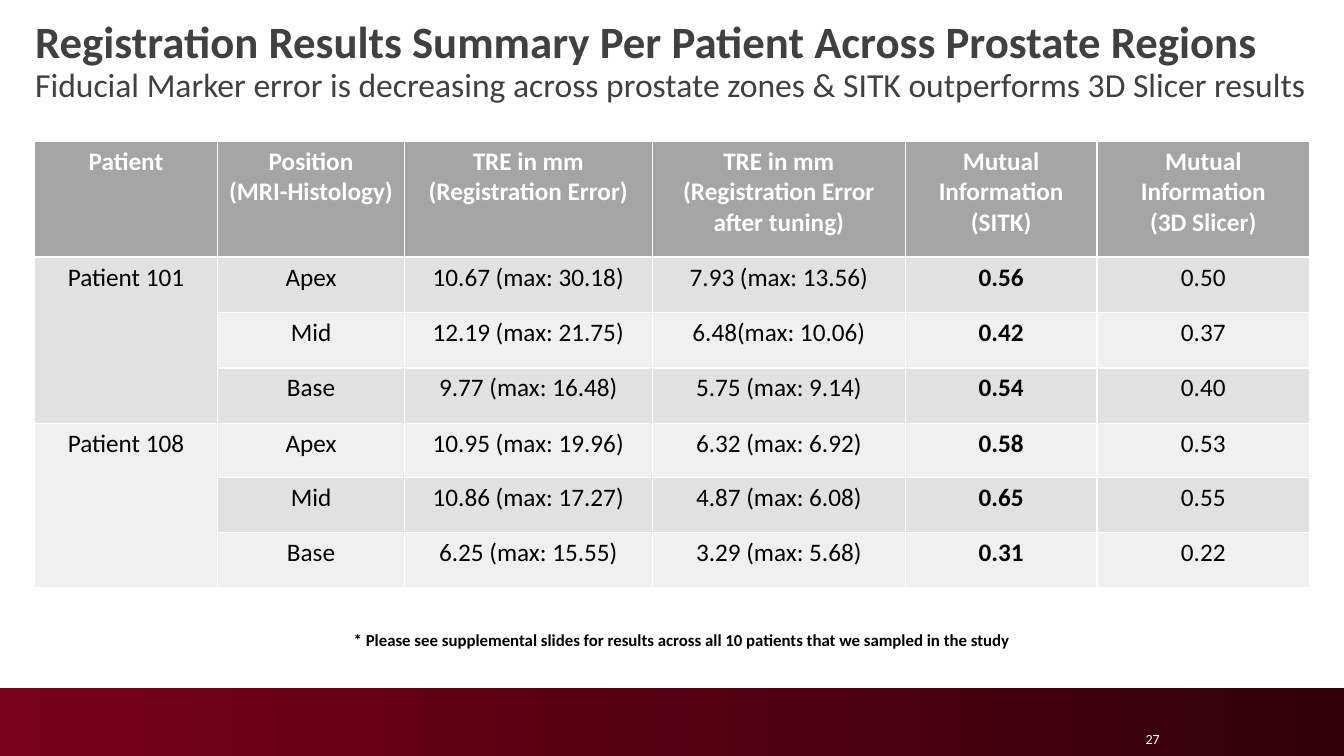
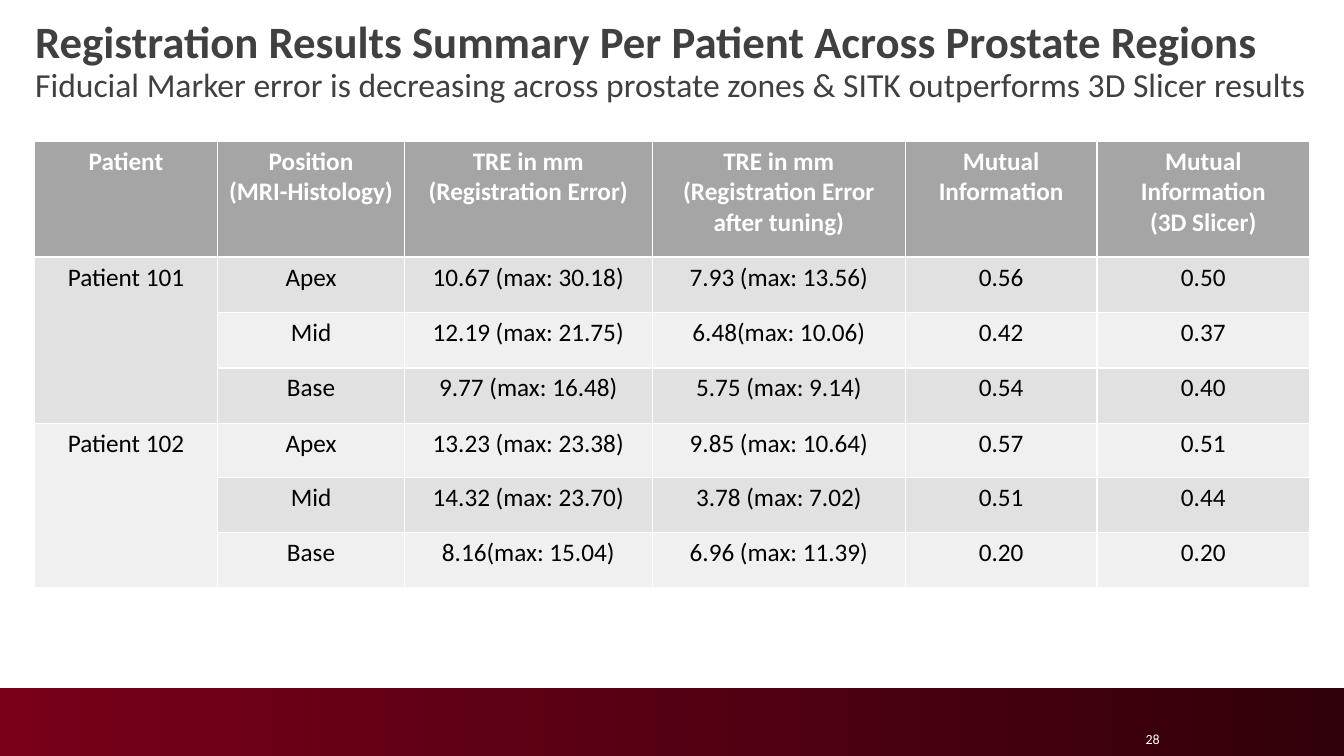
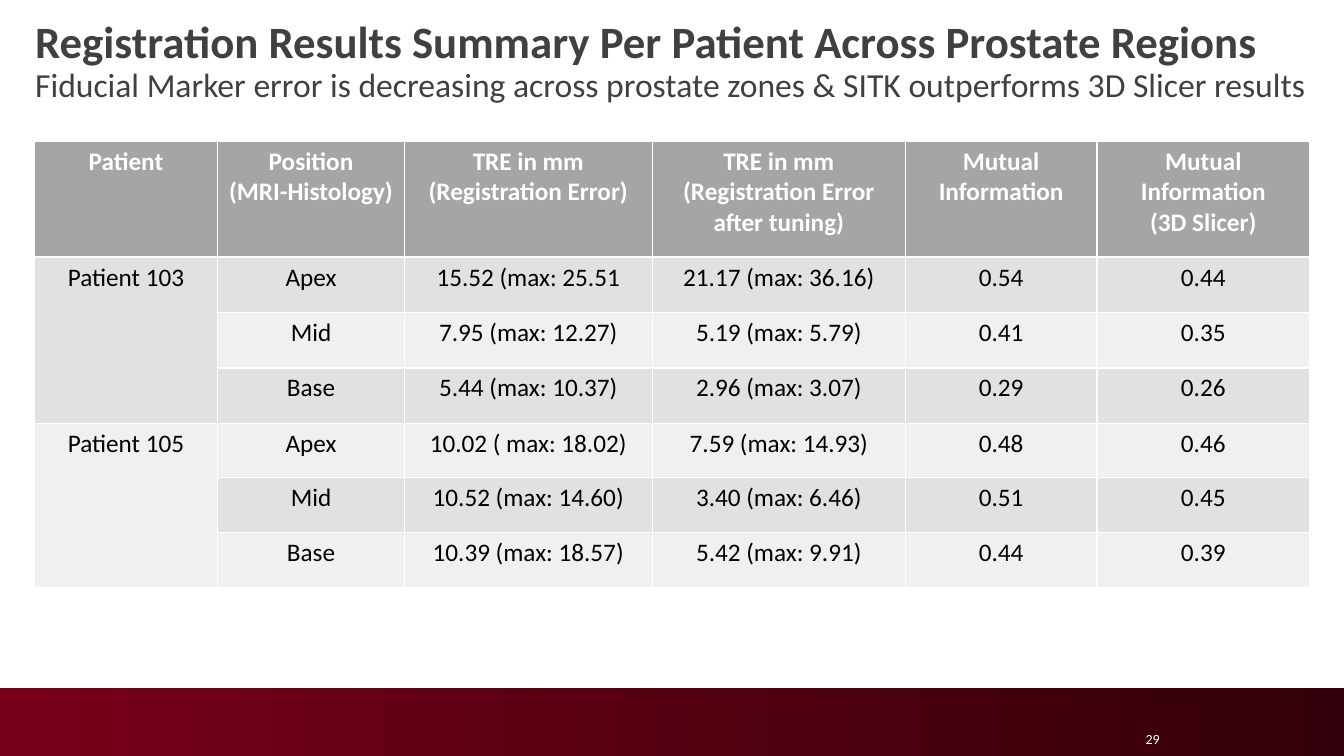
"""Build three slides of registration results per patient."""
from dataclasses import dataclass

from pptx import Presentation
from pptx.dml.color import RGBColor as RGB
from pptx.enum.shapes import MSO_SHAPE as SHAPE
from pptx.enum.text import MSO_ANCHOR as ANCHOR, PP_ALIGN as ALIGN
from pptx.util import Inches, Pt


@dataclass(frozen=True)
class Theme:
    font: str = "Calibri"
    white: str = "FFFFFF"
    black: str = "000000"
    title: str = "404040"
    head: str = "A5A5A5"
    rows: tuple = ("E1E1E1", "F0F0F0")
    band: tuple = ("780019", "32000A")
    title_pt: int = 32
    sub_pt: int = 24
    table_pt: int = 18
    note_pt: int = 12
    page_pt: int = 10


THEME = Theme()
TITLE = "Registration Results Summary Per Patient Across Prostate Regions"
SUB = ("Fiducial Marker error is decreasing across prostate zones "
       "& SITK outperforms 3D Slicer results")
NOTE = ("* Please see supplemental slides for results across all 10 patients "
        "that we sampled in the study")
ZONES = ("Apex", "Mid", "Base")
MUTUAL = "Mutual Information"
SITK = MUTUAL + "\n(SITK)"
COLS = (1.82, 1.85, 2.46, 2.51, 1.9, 2.11)
ROWS = (1.15, 0.55, 0.55, 0.55, 0.54, 0.54, 0.55)
MI_COL = 4

P101 = ("Patient 101", [
    ("10.67 (max: 30.18)", "7.93 (max: 13.56)", "0.56", "0.50"),
    ("12.19 (max: 21.75)", "6.48(max: 10.06)", "0.42", "0.37"),
    ("9.77 (max: 16.48)", "5.75 (max: 9.14)", "0.54", "0.40"),
])
P102 = ("Patient 102", [
    ("13.23 (max: 23.38)", "9.85 (max: 10.64)", "0.57", "0.51"),
    ("14.32 (max: 23.70)", "3.78 (max: 7.02)", "0.51", "0.44"),
    ("8.16(max: 15.04)", "6.96 (max: 11.39)", "0.20", "0.20"),
])
P103 = ("Patient 103", [
    ("15.52 (max: 25.51", "21.17 (max: 36.16)", "0.54", "0.44"),
    ("7.95 (max: 12.27)", "5.19 (max: 5.79)", "0.41", "0.35"),
    ("5.44 (max: 10.37)", "2.96 (max: 3.07)", "0.29", "0.26"),
])
P105 = ("Patient 105", [
    ("10.02 ( max: 18.02)", "7.59 (max: 14.93)", "0.48", "0.46"),
    ("10.52 (max: 14.60)", "3.40 (max: 6.46)", "0.51", "0.45"),
    ("10.39 (max: 18.57)", "5.42 (max: 9.91)", "0.44", "0.39"),
])
P108 = ("Patient 108", [
    ("10.95 (max: 19.96)", "6.32 (max: 6.92)", "0.58", "0.53"),
    ("10.86 (max: 17.27)", "4.87 (max: 6.08)", "0.65", "0.55"),
    ("6.25 (max: 15.55)", "3.29 (max: 5.68)", "0.31", "0.22"),
])

SLIDES = [
    dict(page=27, mutual=SITK, groups=(P101, P108), bold=True, note=NOTE),
    dict(page=28, mutual=MUTUAL, groups=(P101, P102)),
    dict(page=29, mutual=MUTUAL, groups=(P103, P105)),
]


def style(para, size, color, bold=False, align=ALIGN.LEFT):
    para.alignment = align
    font = para.font
    font.name, font.size, font.bold = THEME.font, Pt(size), bold
    font.color.rgb = RGB.from_string(color)


def add_text(slide, box, text, anchor=ANCHOR.MIDDLE):
    frame = slide.shapes.add_textbox(*map(Inches, box)).text_frame
    frame.word_wrap = True
    frame.vertical_anchor = anchor
    frame.text = text
    return frame.paragraphs


def add_frame(slide, page):
    band = slide.shapes.add_shape(
        SHAPE.RECTANGLE, *map(Inches, (0, 6.83, 13.33, 0.67)))
    band.shadow.inherit = False
    band.line.fill.background()
    band.fill.gradient()
    band.fill.gradient_angle = 0
    for stop, color in zip(band.fill.gradient_stops, THEME.band):
        stop.color.rgb = RGB.from_string(color)
    number, = add_text(slide, (11.17, 7.13, 0.43, 0.4), str(page))
    style(number, THEME.page_pt, THEME.white, align=ALIGN.RIGHT)
    title, sub = add_text(slide, (0.25, 0.05, 12.92, 1.13), f"{TITLE}\n{SUB}")
    style(title, THEME.title_pt, THEME.title, bold=True)
    style(sub, THEME.sub_pt, THEME.title)
    title.line_spacing = sub.line_spacing = 0.9


def fill_cell(cell, text, fill, color, bold):
    cell.fill.solid()
    cell.fill.fore_color.rgb = RGB.from_string(fill)
    cell.text = text
    for para in cell.text_frame.paragraphs:
        style(para, THEME.table_pt, color, bold, ALIGN.CENTER)


def add_results(slide, mutual, groups, bold):
    data = [("Patient", "Position\n(MRI-Histology)",
             "TRE in mm\n(Registration Error)",
             "TRE in mm\n(Registration Error after tuning)",
             mutual, MUTUAL + "\n(3D Slicer)")]
    for name, lines in groups:
        for zone, line in zip(ZONES, lines):
            data.append((name if zone == ZONES[0] else "", zone, *line))
    box = map(Inches, (0.34, 1.4, sum(COLS), sum(ROWS)))
    table = slide.shapes.add_table(len(ROWS), len(COLS), *box).table
    for col, width in zip(table.columns, COLS):
        col.width = Inches(width)
    for row, height in zip(table.rows, ROWS):
        row.height = Inches(height)
    for r, line in enumerate(data):
        head = r == 0
        fill = THEME.head if head else THEME.rows[(r - 1) % 2]
        color = THEME.white if head else THEME.black
        for c, text in enumerate(line):
            strong = head or (bold and c == MI_COL)
            fill_cell(table.cell(r, c), text, fill, color, strong)
    for top in range(1, len(ROWS), len(ZONES)):
        table.cell(top, 0).merge(table.cell(top + len(ZONES) - 1, 0))


def add_slide(deck, page, mutual, groups, bold=False, note=None):
    slide = deck.slides.add_slide(deck.slide_layouts[6])
    add_frame(slide, page)
    add_results(slide, mutual, groups, bold)
    if note:
        para, = add_text(slide, (3.41, 6.2, 7.23, 0.3), note, ANCHOR.TOP)
        style(para, THEME.note_pt, THEME.black, bold=True)


def main():
    deck = Presentation()
    deck.slide_width, deck.slide_height = Inches(13.33), Inches(7.5)
    for item in SLIDES:
        add_slide(deck, **item)
    deck.save("out.pptx")


if __name__ == "__main__":
    main()
